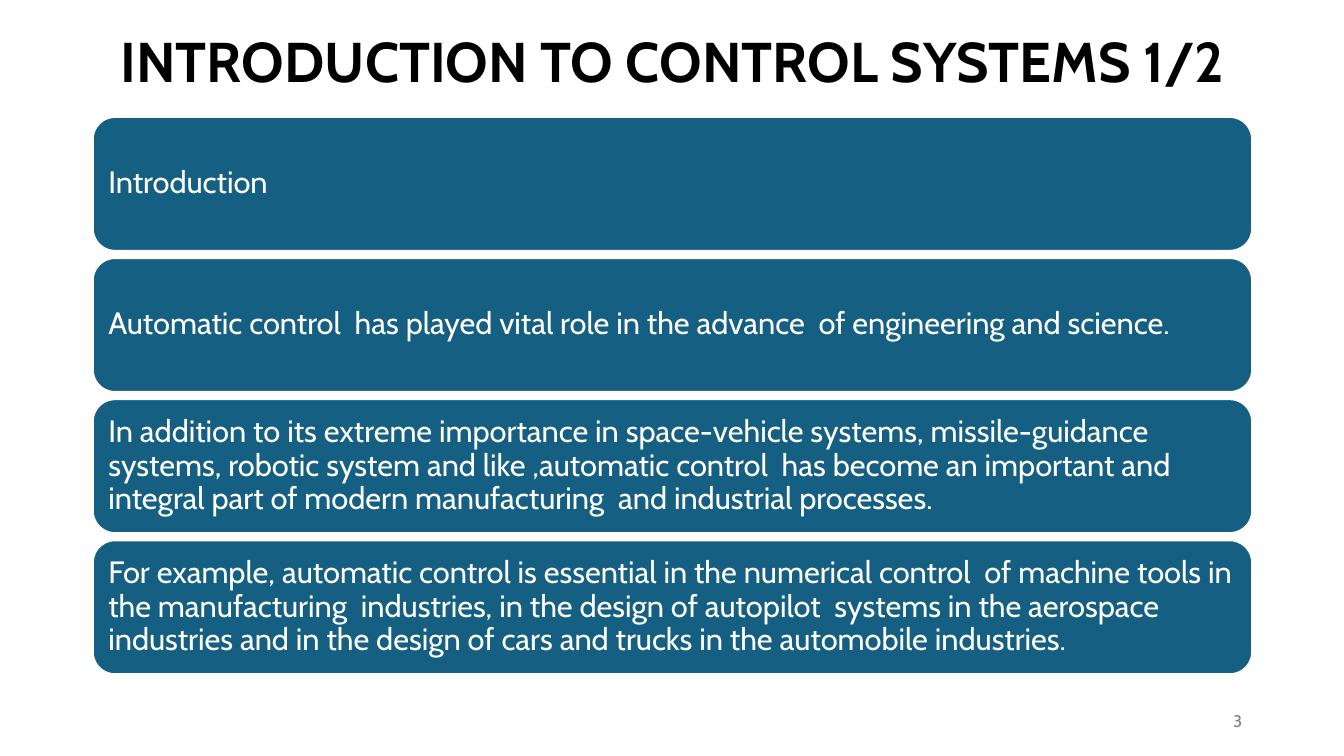
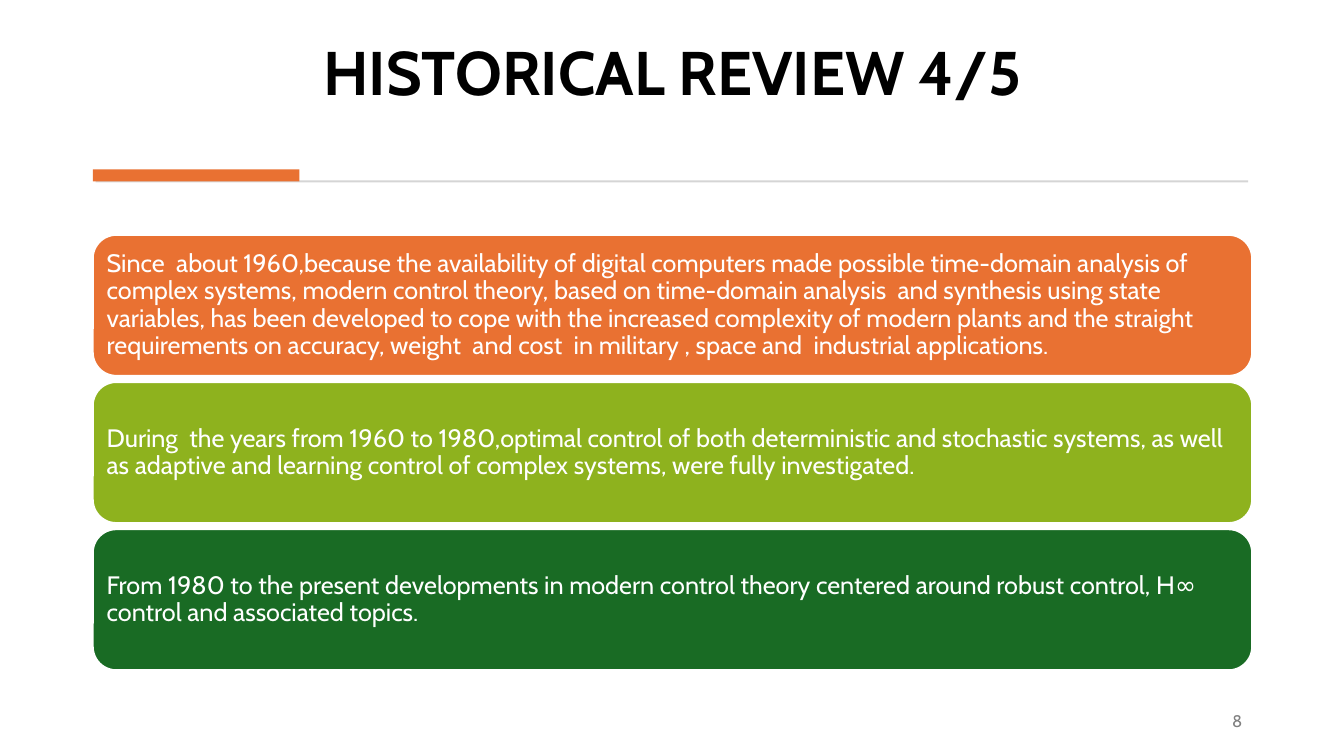
from pptx import Presentation
from pptx.dml.color import RGBColor
from pptx.enum import shapes, text
from pptx.util import Inches, Pt

COLORS = {
    "title": "000000",
    "on_card": "FFFFFF",
    "edge": "FFFFFF",
    "blue": "156082",
    "orange": "E97132",
    "lime": "8EB21E",
    "green": "196B24",
    "rule": "D5D5D5",
    "number": "808080",
}
LEFT, WIDTH = 0.92, 11.5

INTRODUCTION = [
    ("blue", "Introduction"),
    ("blue", "Automatic control  has played vital role in the advance  of engineering and science."),
    ("blue", "In addition to its extreme importance in space-vehicle systems, missile-guidance "
             "systems, robotic system and like ,automatic control  has become an important and "
             "integral part of modern manufacturing  and industrial processes."),
    ("blue", "For example, automatic control is essential in the numerical control  of machine "
             "tools in the manufacturing  industries, in the design of autopilot  systems in the "
             "aerospace industries and in the design of cars and trucks in the automobile industries."),
]
HISTORY = [
    ("orange", "Since  about 1960,because the availability of digital computers made possible "
               "time-domain analysis of complex systems, modern control theory, based on "
               "time-domain analysis  and synthesis using state variables, has been developed to "
               "cope with the increased complexity of modern plants and the straight requirements "
               "on accuracy, weight  and cost  in military , space and  industrial applications."),
    ("lime", "During  the years from 1960 to 1980,optimal control of both deterministic and "
             "stochastic systems, as well as adaptive and learning control of complex systems, "
             "were fully investigated."),
    ("green", "From 1980 to the present developments in modern control theory centered around "
              "robust control, H∞ control and associated topics."),
]


def rgb(name):
    return RGBColor.from_string(COLORS[name])


class Deck:
    """Holds the shared style and the slide being built."""
    font = "Cabin"

    def __init__(self):
        self.file = Presentation()
        self.file.slide_width, self.file.slide_height = Inches(13.33), Inches(7.5)
        self.slide = None

    def new_slide(self):
        self.slide = self.file.slides.add_slide(self.file.slide_layouts[6])

    def fill_text(self, holder, words, size, color, align, anchor=text.MSO_ANCHOR.MIDDLE,
                  bold=False, spacing=0.9, inset=(0.1, 0.05)):
        """Put one paragraph into a shape; inset is (sides, top and bottom)."""
        frame = holder.text_frame
        sides, ends = map(Inches, inset)
        frame_format = {"word_wrap": True, "vertical_anchor": anchor,
                        "margin_left": sides, "margin_right": sides,
                        "margin_top": ends, "margin_bottom": ends}
        paragraph = frame.paragraphs[0]
        run = paragraph.add_run()
        run.text = words
        formats = (
            (frame, frame_format),
            (paragraph, {"alignment": align, "line_spacing": spacing}),
            (run.font, {"name": self.font, "size": Pt(size), "bold": bold}),
        )
        for target, values in formats:
            for attribute, value in values.items():
                setattr(target, attribute, value)
        run.font.color.rgb = rgb(color)

    def label(self, box, *args, **options):
        holder = self.slide.shapes.add_textbox(*map(Inches, box))
        self.fill_text(holder, *args, **options)

    def title(self, words, top, height, size, anchor=text.MSO_ANCHOR.MIDDLE):
        self.label((LEFT, top, WIDTH, height), words, size, "title",
                   text.PP_ALIGN.CENTER, anchor, bold=True)

    def page_number(self, number):
        self.label((9.42, 6.95, 3, 0.4), str(number), 12, "number",
                   text.PP_ALIGN.RIGHT, spacing=1.0)

    def block(self, kind, box, color):
        shape = self.slide.shapes.add_shape(kind, *map(Inches, box))
        shape.shadow.inherit = False
        shape.fill.solid()
        shape.fill.fore_color.rgb = rgb(color)
        shape.line.fill.background()
        return shape

    def title_rule(self):
        for box, color in (((0.95, 1.79, 11.43, 0.02), "rule"),
                           ((LEFT, 1.68, 2.05, 0.12), "orange")):
            self.block(shapes.MSO_SHAPE.RECTANGLE, box, color)

    def cards(self, items, top, height, gap, size, inset):
        """Stack full-width rounded cards at equal gaps."""
        for row, (color, words) in enumerate(items):
            box = (LEFT, top + row * (height + gap), WIDTH, height)
            card = self.block(shapes.MSO_SHAPE.ROUNDED_RECTANGLE, box, color)
            card.line.color.rgb = rgb("edge")
            card.line.width = Pt(1.5)
            self.fill_text(card, words, size, "on_card", text.PP_ALIGN.LEFT,
                           inset=(inset, inset))


def main():
    deck = Deck()

    deck.new_slide()
    deck.title("INTRODUCTION TO CONTROL SYSTEMS 1/2", 0.2, 0.88, 40)
    deck.cards(INTRODUCTION, top=1.16, height=1.33, gap=0.07, size=22, inset=0.09)
    deck.page_number(3)

    deck.new_slide()
    deck.title("HISTORICAL REVIEW 4/5", 0.28, 0.85, 44, text.MSO_ANCHOR.BOTTOM)
    deck.title_rule()
    deck.cards(HISTORY, top=2.33, height=1.4, gap=0.06, size=18, inset=0.07)
    deck.page_number(8)

    deck.file.save("out.pptx")


if __name__ == "__main__":
    main()
